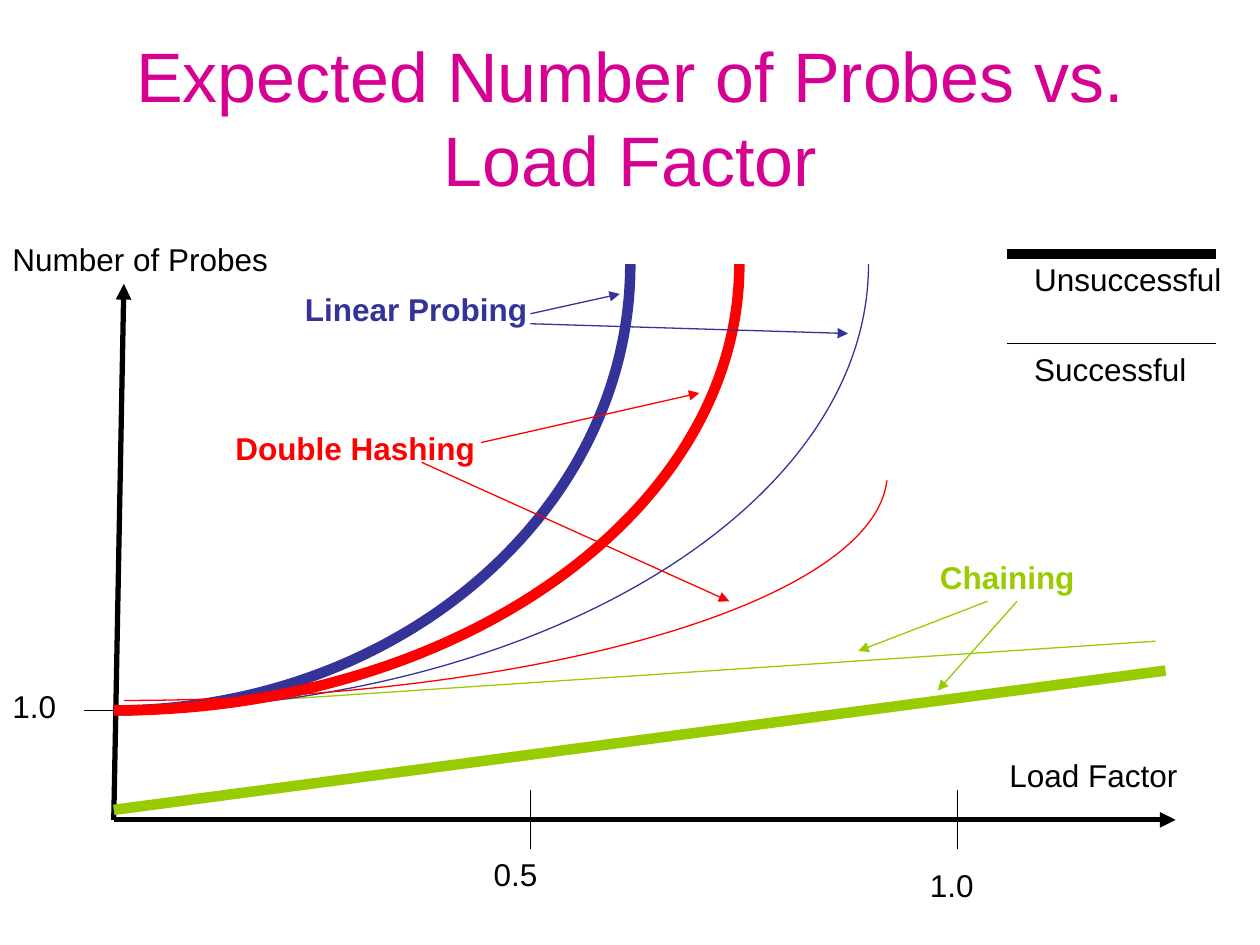
import math

import pptx
import pptx.dml.color
import pptx.enum.shapes
import pptx.enum.text
import pptx.oxml
import pptx.util
from lxml import etree

Pt = pptx.util.Pt
qn = pptx.oxml.ns.qn
BLACK, BLUE, RED, GREEN, PINK = "000000", "333399", "FF0000", "99CC00", "D60093"
THIN, AXIS, THICK = 0.75, 3, 6
LEFT, BASE, ONE, TOP = 65, 468.5, 406, 151


def color(code):
    return pptx.dml.color.RGBColor.from_string(code)


class Chart:
    """Holds the text style and the slide being drawn."""

    font = {"name": "Arial", "size": Pt(18), "bold": False}

    def __init__(self, slide):
        self.slide = slide
        self.shapes = slide.shapes

    def text(self, words, x, y, wide, high=28.8, ink=BLACK, align="LEFT",
             anchor="TOP", **style):
        frame = self.shapes.add_textbox(Pt(x), Pt(y), Pt(wide), Pt(high)).text_frame
        frame.word_wrap = True
        frame.vertical_anchor = pptx.enum.text.MSO_ANCHOR[anchor]
        para = frame.paragraphs[0]
        para.alignment = pptx.enum.text.PP_ALIGN[align]
        run = para.add_run()
        run.text = words
        for key, value in {**self.font, **style}.items():
            setattr(run.font, key, value)
        run.font.color.rgb = color(ink)

    def stroke(self, shape, ink, width):
        shape.line.width = Pt(width)
        shape.line.color.rgb = color(ink)

    def line(self, start, end, ink=BLACK, width=THIN, arrow=False):
        kind = pptx.enum.shapes.MSO_CONNECTOR.STRAIGHT
        line = self.shapes.add_connector(kind, *map(Pt, (*start, *end)))
        self.stroke(line, ink, width)
        props = line._element.spPr
        if arrow:
            etree.SubElement(props.find(qn("a:ln")), qn("a:tailEnd"), type="triangle")
        etree.SubElement(props, qn("a:effectLst"))

    def curve(self, x, y, wide, high, ink, width, sweep=90):
        """Draw an ellipse arc, as one Bezier, from (x, y) rightward and up."""
        turn = math.radians(sweep)
        pull = 4 / 3 * math.tan(turn / 4)
        sin, cos = math.sin(turn), math.cos(turn)
        dots = [(Pt(x + wide * across), Pt(y - high * up)) for across, up in (
            (0, 0), (pull, 0),
            (sin - pull * cos, 1 - cos - pull * sin), (sin, 1 - cos))]
        pen = self.shapes.build_freeform(*dots[0])
        pen.add_line_segments(dots[1:], close=False)
        shape = pen.convert_to_shape()
        legs = list(shape._element.iter(qn("a:lnTo")))
        bend = etree.SubElement(legs[0].getparent(), qn("a:cubicBezTo"))
        for leg in legs:
            bend.append(leg[0])
            leg.getparent().remove(leg)
        shape.shadow.inherit = False
        shape.fill.background()
        self.stroke(shape, ink, width)


def main():
    deck = pptx.Presentation()
    deck.slide_width, deck.slide_height = Pt(720), Pt(540)
    chart = Chart(deck.slides.add_slide(deck.slide_layouts[6]))

    chart.text("Expected Number of Probes vs. Load Factor", 36, 21.6, 648, 90,
               PINK, "CENTER", "MIDDLE", size=Pt(40))

    # Axes and ticks
    for end in ((671.8, BASE), (70.8, 162.2)):
        chart.line((LEFT, BASE), end, width=AXIS, arrow=True)
    chart.line((48.2, ONE), (76.3, ONE))
    for x in (303.1, 547.2):
        chart.line((x, 451.4), (x, 485.3))
    for words, x, y, wide in (
        ("1.0", 0, 388.8, 42.5),
        ("1.0", 524.2, 491.2, 42.5),
        ("0.5", 275, 485.3, 42.5),
        ("Number of Probes", 0, 133.7, 170),
        ("Load Factor", 569.7, 428.4, 130.3),
    ):
        chart.text(words, x, y, wide)

    # Key to line widths
    for words, y, width in (("Unsuccessful", 145.2, THICK),
                            ("Successful", 196.4, THIN)):
        chart.line((575.3, y), (694.6, y), width=width)
        chart.text(words, 583.9, y, 136.1)

    # Probe counts
    chart.line((LEFT, 462.8), (666, 383.2), GREEN, THICK)
    chart.line((LEFT, ONE), (660.4, 366.4), GREEN)
    for wide, ink, width in ((431.3, BLUE, THIN), (295.2, BLUE, THICK),
                             (357.5, RED, THICK)):
        chart.curve(LEFT, ONE, wide, ONE - TOP, ink, width)

    # Names of the methods, each with its two pointers
    for words, x, y, ink, arrows in (
        ("Linear Probing", 167.2, 162, BLUE,
         (((303.1, 185), (484.6, 190.6)), ((303.1, 179.3), (354.2, 168)))),
        ("Double Hashing", 127.4, 241.7, RED,
         (((241, 264.2), (416.7, 343.6)), ((275, 252.9), (399.6, 224.6)))),
        ("Chaining", 530, 315.4, GREEN,
         (((564.3, 343.6), (490.5, 372)), ((581.2, 343.6), (535.9, 394.6)))),
    ):
        chart.text(words, x, y, 170, ink=ink, bold=True)
        for start, end in arrows:
            chart.line(start, end, ink, arrow=True)

    chart.curve(70.8, 400.3, 436.3, 130.3, RED, THIN, sweep=88)
    deck.save("out.pptx")


if __name__ == "__main__":
    main()
